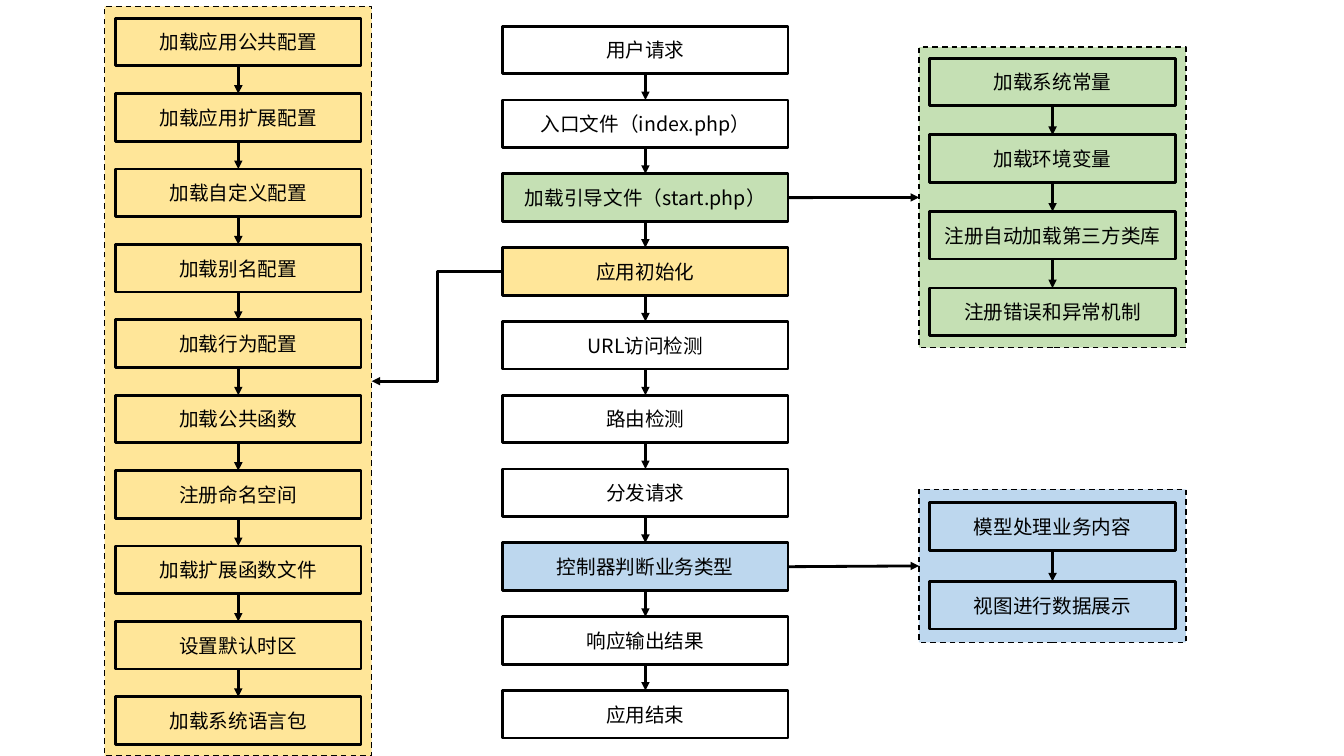
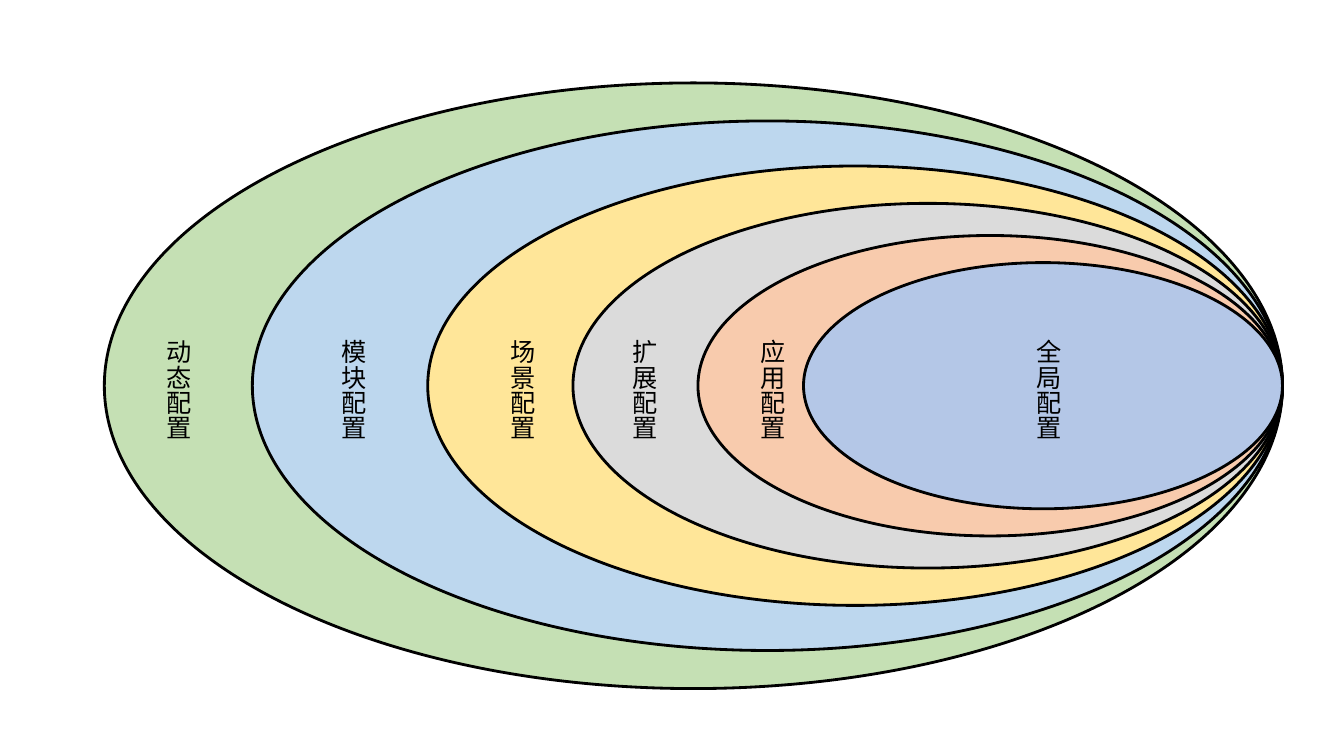
from dataclasses import dataclass
from itertools import pairwise

from lxml import etree
from pptx import Presentation
from pptx.dml import color
from pptx.enum import dml, shapes, text
from pptx.oxml import ns
from pptx.util import Cm, Pt


@dataclass(frozen=True)
class Theme:
    font: str = "Noto Sans CJK SC"
    ink: str = "000000"
    green: str = "C5E0B4"
    blue: str = "BDD7EE"
    gold: str = "FFE699"
    grey: str = "DBDBDB"
    peach: str = "F8CBAD"
    navy: str = "B4C7E7"
    body: int = 14
    label: int = 18
    thick: int = 2
    thin: int = 1


T = Theme()
TOP, LEFT, BOTTOM, RIGHT = range(4)  # connection sites of a rectangle
BOX_H = 1.2
PANEL_W, PANEL_PAD = 6.73, 0.27

BOX_TEXT = {
    "word_wrap": True,
    "vertical_anchor": text.MSO_ANCHOR.MIDDLE,
    "margin_left": Cm(0.25), "margin_right": Cm(0.25),
    "margin_top": Cm(0.3), "margin_bottom": Cm(0.3),
}
LABEL_TEXT = {
    "word_wrap": False,
    "auto_size": text.MSO_AUTO_SIZE.SHAPE_TO_FIT_TEXT,
}


def apply(target, values):
    for name, value in values.items():
        setattr(target, name, value)


def rgb(code):
    return color.RGBColor.from_string(code)


class Deck:
    """Holds the file, the shared style and the current slide."""

    def __init__(self):
        self.file = Presentation()
        apply(self.file, {"slide_width": Cm(33.87), "slide_height": Cm(19.05)})
        self.slide = None

    def page(self):
        self.slide = self.file.slides.add_slide(self.file.slide_layouts[6])

    def stroke(self, line, width=T.thick, dash=None):
        line.color.rgb = rgb(T.ink)
        apply(line, {"width": Pt(width), "dash_style": dash})

    def letter(self, frame, words, size, form, align=None):
        apply(frame, form)
        para = frame.paragraphs[0]
        para.alignment = align
        run = para.add_run()
        run.text = words
        apply(run.font, {"size": Pt(size), "name": T.font})
        run.font.color.rgb = rgb(T.ink)
        # East Asian typeface
        face = etree.SubElement(run.font._element, ns.qn("a:ea"))
        face.set("typeface", T.font)

    def shape(self, kind, x, y, w, h, fill=None, **line):
        item = self.slide.shapes.add_shape(kind, Cm(x), Cm(y), Cm(w), Cm(h))
        item.shadow.inherit = False
        if fill:
            item.fill.solid()
            item.fill.fore_color.rgb = rgb(fill)
        else:
            item.fill.background()
        self.stroke(item.line, **line)
        return item

    def box(self, words, x, y, w, fill=None):
        item = self.shape(shapes.MSO_SHAPE.RECTANGLE, x, y, w, BOX_H, fill)
        self.letter(item.text_frame, words, T.body, BOX_TEXT, text.PP_ALIGN.CENTER)
        return item

    def arrow(self, start, out, end, into, kind=shapes.MSO_CONNECTOR.STRAIGHT):
        link = self.slide.shapes.add_connector(kind, 0, 0, 0, 0)
        link.begin_connect(start, out)
        link.end_connect(end, into)
        self.stroke(link.line)
        head = etree.SubElement(link.line._get_or_add_ln(), ns.qn("a:tailEnd"))
        head.set("type", "triangle")
        etree.SubElement(link._element.spPr, ns.qn("a:effectLst"))

    def chain(self, steps, x, y, w, pitch, fills=None):
        """A column of boxes, each with an arrow to the next."""
        fills = fills or {}
        items = [self.box(step, x, y + i * pitch, w, fills.get(step))
                 for i, step in enumerate(steps)]
        for upper, lower in pairwise(items):
            self.arrow(upper, BOTTOM, lower, TOP)
        return dict(zip(steps, items))

    def panel(self, steps, fill, x, y, h, first, pitch):
        """A dashed frame around a column of boxes."""
        frame = self.shape(shapes.MSO_SHAPE.RECTANGLE, x, y, PANEL_W, h, fill,
                           width=T.thin, dash=dml.MSO_LINE.DASH)
        self.chain(steps, x + PANEL_PAD, first, PANEL_W - 2 * PANEL_PAD, pitch)
        return frame

    def label(self, words, x, y, w, h):
        item = self.slide.shapes.add_textbox(Cm(x), Cm(y), Cm(w), Cm(h))
        self.letter(item.text_frame, words, T.label, LABEL_TEXT)
        item.text_frame._txBody.bodyPr.set("vert", "eaVert")


def flow(deck):
    deck.page()
    # Main column
    boot, init, control = "加载引导文件（start.php）", "应用初始化", "控制器判断业务类型"
    steps = ["用户请求", "入口文件（index.php）", boot, init, "URL访问检测",
             "路由检测", "分发请求", control, "响应输出结果", "应用结束"]
    main = deck.chain(steps, 12.67, 0.66, 7.19, 1.86,
                      {boot: T.green, init: T.gold, control: T.blue})

    # Side panels
    setup = deck.panel(
        ["加载应用公共配置", "加载应用扩展配置", "加载自定义配置", "加载别名配置",
         "加载行为配置", "加载公共函数", "注册命名空间", "加载扩展函数文件",
         "设置默认时区", "加载系统语言包"],
        T.gold, 2.64, 0.16, 18.89, 0.46, 1.9)
    start = deck.panel(
        ["加载系统常量", "加载环境变量", "注册自动加载第三方类库", "注册错误和异常机制"],
        T.green, 23.16, 1.19, 7.57, 1.47, 1.93)
    work = deck.panel(["模型处理业务内容", "视图进行数据展示"],
                      T.blue, 23.16, 12.33, 3.86, 12.67, 1.98)

    # Links from the main column to the panels
    deck.arrow(main[boot], RIGHT, start, LEFT)
    deck.arrow(main[control], RIGHT, work, LEFT)
    deck.arrow(main[init], LEFT, setup, RIGHT, shapes.MSO_CONNECTOR.ELBOW)


def scopes(deck):
    deck.page()
    # Ovals of one proportion that touch at the right
    edge, middle, ratio = 32.32, 9.72, 0.514
    rings = [
        ("动态配置", T.green, 29.69, 3.73),
        ("模块配置", T.blue, 25.96, 8.15),
        ("场景配置", T.gold, 21.54, 12.4),
        ("扩展配置", T.grey, 17.88, 15.47),
        ("应用配置", T.peach, 14.73, 18.69),
        ("全局配置", T.navy, 12.07, 25.65),
    ]
    for words, fill, wide, x in rings:
        high = wide * ratio
        deck.shape(shapes.MSO_SHAPE.OVAL, edge - wide, middle - high / 2,
                   wide, high, fill)
        deck.label(words, x, 8.31, 1.27, 2.82)


def main():
    deck = Deck()
    flow(deck)
    scopes(deck)
    deck.file.save("out.pptx")


if __name__ == "__main__":
    main()
